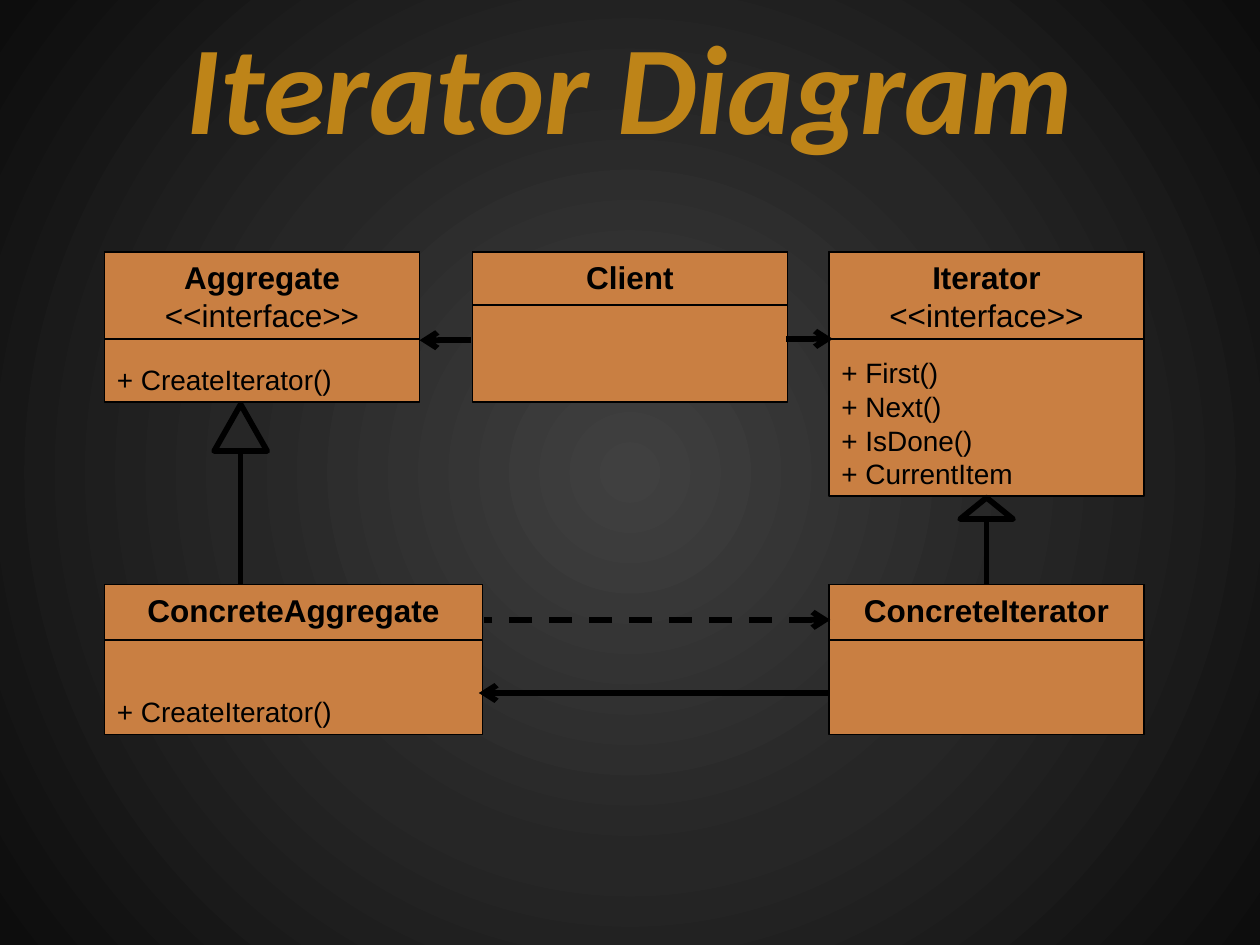
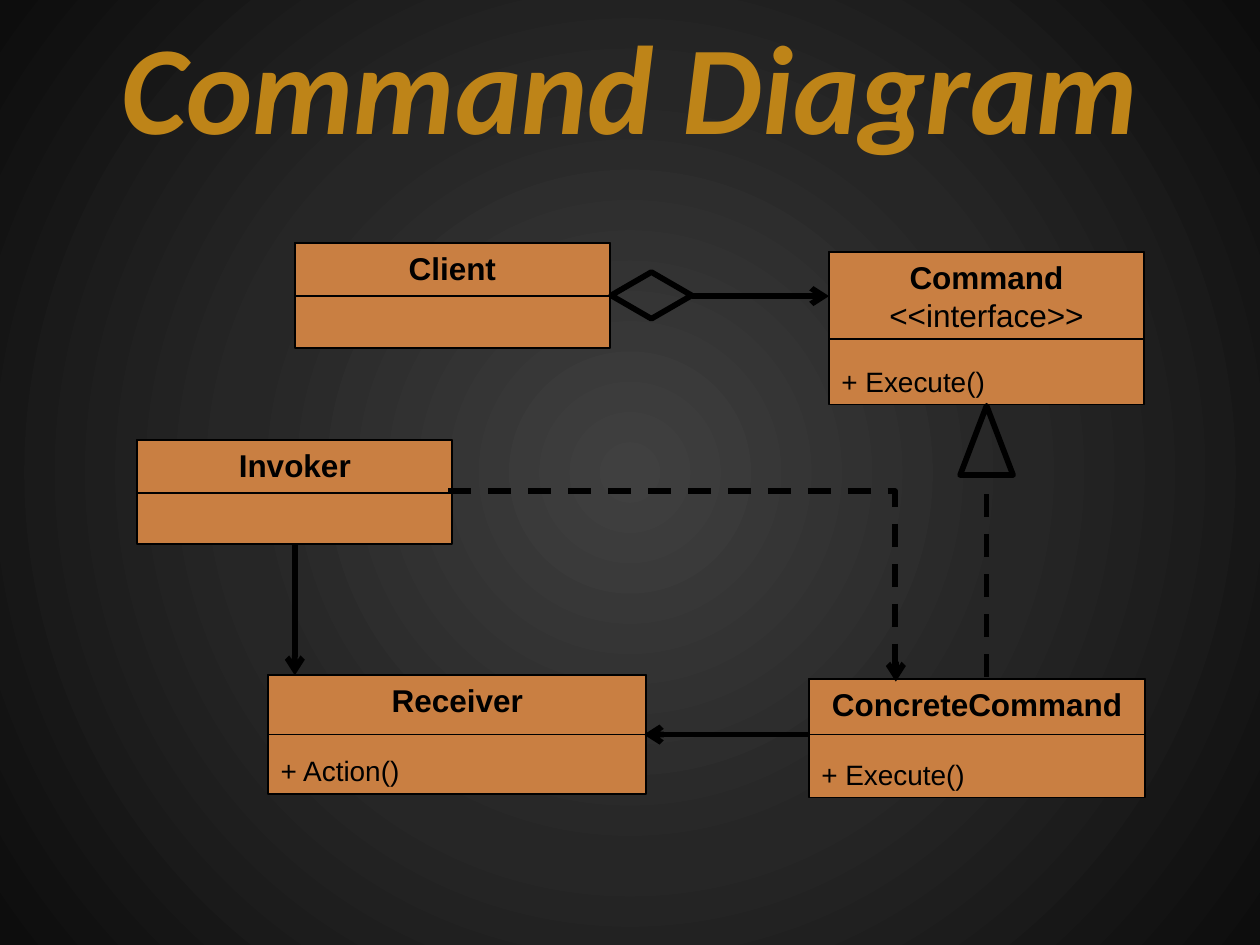
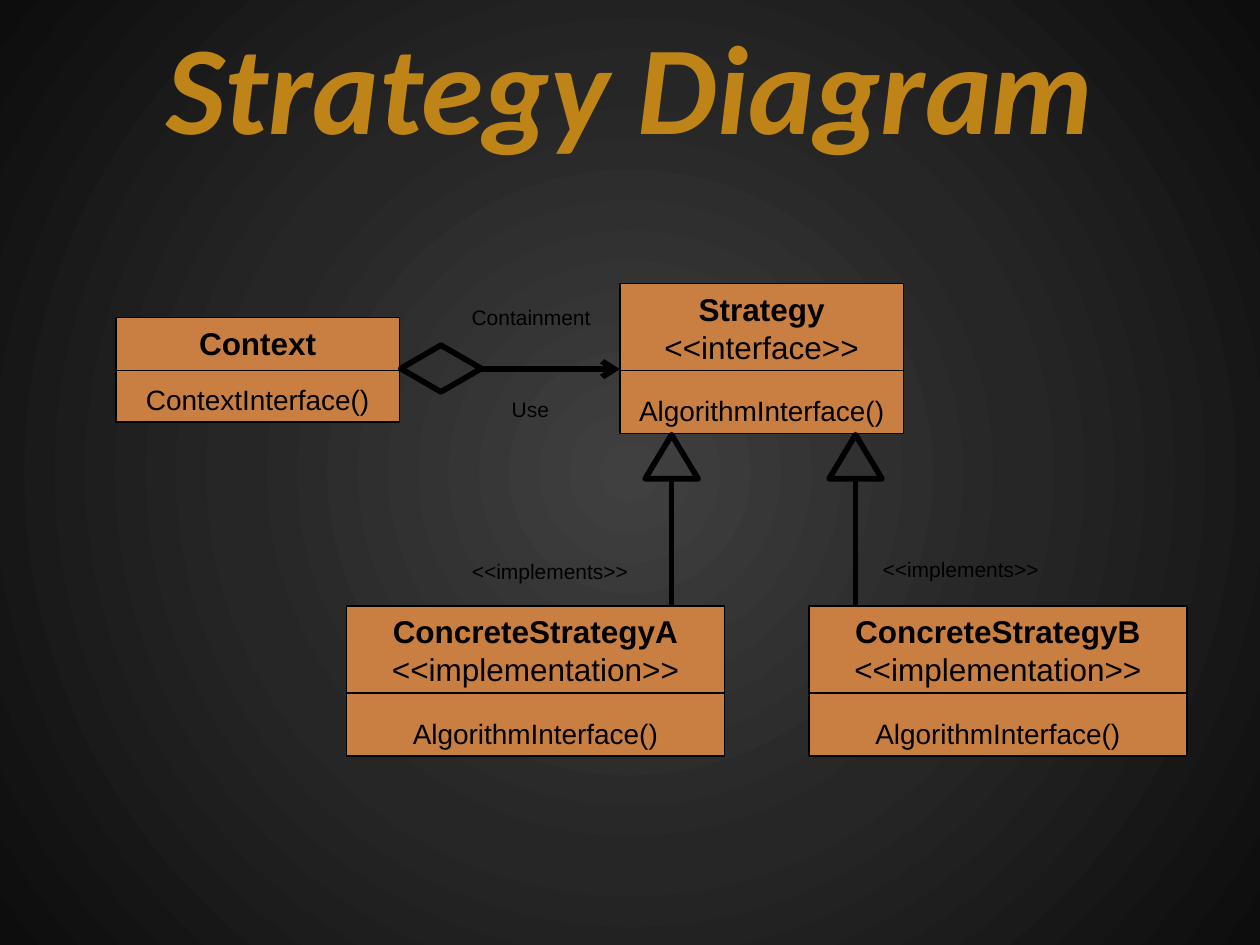
from lxml import etree
from pptx import Presentation
from pptx.dml.color import RGBColor
from pptx.enum.dml import MSO_LINE
from pptx.enum.shapes import MSO_CONNECTOR, MSO_SHAPE
from pptx.enum.text import MSO_ANCHOR, PP_ALIGN
from pptx.oxml.ns import qn
from pptx.util import Inches, Pt

INK, CARD, GOLD = "000000", "C97F42", "BE8418"
BACKDROP = [(0, "404040"), (50, "262626"), (100, "0D0D0D")]
STROKE = 3.25
TRIANGLE_WIDTH = 0.42
DIAMOND_WIDTH, DIAMOND_HEIGHT = 0.64, 0.37
LABEL_HEIGHT = 0.3

# classes: left, top, width, height, header height, name, stereotype, methods
# inherits: centre x, apex y, base y, tail y, dashed
# contains: left, top of the diamond
# arrows: tip, tail, dashed
# labels: left, top, width, text
DIAGRAMS = [
    {
        "title": "Iterator Diagram",
        "method_align": PP_ALIGN.LEFT,
        "classes": [
            (0.83, 2, 2.5, 1.19, 0.69, "Aggregate", "<<interface>>", ["+ CreateIterator()"]),
            (6.58, 2, 2.5, 1.94, 0.69, "Iterator", "<<interface>>",
             ["+ First()", "+ Next()", "+ IsDone()", "+ CurrentItem"]),
            (0.83, 4.64, 3, 1.19, 0.44, "ConcreteAggregate", "", ["+ CreateIterator()"]),
            (6.58, 4.64, 2.5, 1.19, 0.44, "ConcreteIterator", "", []),
            (3.75, 2, 2.5, 1.19, 0.42, "Client", "", []),
        ],
        "inherits": [(1.91, 3.21, 3.58, 4.64, False), (7.83, 3.95, 4.12, 4.64, False)],
        "arrows": [
            ((6.61, 2.69), (6.24, 2.69), False),
            ((3.33, 2.7), (3.74, 2.7), False),
            ((3.8, 5.5), (6.58, 5.5), False),
            ((6.59, 4.92), (3.84, 4.92), True),
        ],
    },
    {
        "title": "Command Diagram",
        "method_align": PP_ALIGN.LEFT,
        "classes": [
            (2.34, 1.93, 2.5, 0.83, 0.42, "Client", "", []),
            (6.58, 2, 2.5, 1.21, 0.69, "Command", "<<interface>>", ["+ Execute()"]),
            (2.13, 5.36, 3, 0.94, 0.47, "Receiver", "", ["+ Action()"]),
            (6.42, 5.39, 2.67, 0.94, 0.44, "ConcreteCommand", "", ["+ Execute()"]),
            (1.09, 3.49, 2.5, 0.83, 0.42, "Invoker", "", []),
        ],
        "inherits": [(7.83, 3.22, 3.77, 5.37, True)],
        "contains": [(4.85, 2.16)],
        "elbows": [((3.56, 3.9), (7.12, 5.36), 0.996)],
        "arrows": [
            ((5.11, 5.83), (6.42, 5.83), False),
            ((6.58, 2.35), (5.49, 2.35), False),
            ((2.34, 5.36), (2.34, 4.32), False),
            ((7.11, 5.41), (7.11, 5.34), False),
        ],
    },
    {
        "title": "Strategy Diagram",
        "method_align": PP_ALIGN.CENTER,
        "classes": [
            (0.92, 2.52, 2.25, 0.83, 0.42, "Context", "", ["ContextInterface()"]),
            (4.92, 2.25, 2.25, 1.19, 0.69, "Strategy", "<<interface>>",
             ["AlgorithmInterface()"]),
            (6.42, 4.81, 3, 1.19, 0.69, "ConcreteStrategyB", "<<implementation>>",
             ["AlgorithmInterface()"]),
            (2.75, 4.81, 3, 1.19, 0.69, "ConcreteStrategyA", "<<implementation>>",
             ["AlgorithmInterface()"]),
        ],
        "inherits": [(5.33, 3.45, 3.8, 4.81, False), (6.79, 3.45, 3.8, 4.81, False)],
        "contains": [(3.18, 2.74)],
        "arrows": [((4.92, 2.93), (3.82, 2.93), False)],
        "labels": [
            (3.64, 4.38, 1.45, "<<implements>>"),
            (6.9, 4.37, 1.45, "<<implements>>"),
            (3.64, 2.37, 1.15, "Containment"),
            (3.96, 3.1, 0.5, "Use"),
        ],
    },
]


def rgb(value):
    return RGBColor.from_string(value)


def paint_backdrop(master):
    master.background.fill.gradient()
    gradient = master.element.find(".//" + qn("p:bg")).find(".//" + qn("a:gradFill"))
    for child in list(gradient):
        gradient.remove(child)
    stops = etree.SubElement(gradient, qn("a:gsLst"))
    for position, color in BACKDROP:
        stop = etree.SubElement(stops, qn("a:gs"), pos=str(position * 1000))
        etree.SubElement(stop, qn("a:srgbClr"), val=color)
    circle = etree.SubElement(gradient, qn("a:path"), path="circle")
    etree.SubElement(circle, qn("a:fillToRect"), l="50000", t="50000", r="50000", b="50000")


def add_run(paragraph, text, size, color=INK, font="Arial", bold=False, italic=False):
    run = paragraph.add_run()
    run.text = text
    run.font.size, run.font.name = Pt(size), font
    run.font.bold, run.font.italic = bold, italic
    run.font.color.rgb = rgb(color)


def add_outline(slide, kind, place, width, fill=None):
    shape = slide.shapes.add_shape(kind, *map(Inches, place))
    shape.shadow.inherit = False
    if fill:
        shape.fill.solid()
        shape.fill.fore_color.rgb = rgb(fill)
    else:
        shape.fill.background()
    shape.line.color.rgb = rgb(INK)
    shape.line.width = Pt(width)
    return shape


def add_line(slide, start, end, dashed=False, arrow=False, kind=MSO_CONNECTOR.STRAIGHT):
    line = slide.shapes.add_connector(kind, *map(Inches, (*start, *end)))
    line.line.color.rgb = rgb(INK)
    line.line.width = Pt(STROKE)
    if dashed:
        line.line.dash_style = MSO_LINE.DASH
    if arrow:
        etree.SubElement(line.line._get_or_add_ln(), qn("a:headEnd"), type="arrow")
    etree.SubElement(line._element.spPr, qn("a:effectLst"))
    return line


def add_title(slide, title):
    frame = slide.shapes.add_textbox(0, Inches(0.25), Inches(10), Inches(0.83)).text_frame
    frame.word_wrap = True
    frame.vertical_anchor = MSO_ANCHOR.MIDDLE
    frame.paragraphs[0].alignment = PP_ALIGN.CENTER
    add_run(frame.paragraphs[0], title, 72, GOLD, "Calibri", bold=True, italic=True)


def add_class(slide, align, left, top, width, height, header_height, name, stereotype, methods):
    body = add_outline(slide, MSO_SHAPE.RECTANGLE, (left, top, width, height), 1, CARD).text_frame
    body.vertical_anchor = MSO_ANCHOR.BOTTOM
    for index, method in enumerate(methods):
        paragraph = body.add_paragraph() if index else body.paragraphs[0]
        paragraph.alignment = align
        add_run(paragraph, method, 16)
    header = add_outline(slide, MSO_SHAPE.RECTANGLE, (left, top, width, header_height), 1, CARD)
    header.text_frame.vertical_anchor = MSO_ANCHOR.TOP
    heading = header.text_frame.paragraphs[0]
    heading.alignment = PP_ALIGN.CENTER
    add_run(heading, name, 18, bold=True)
    if stereotype:
        heading.add_line_break()
        add_run(heading, stereotype, 18)


def add_inheritance(slide, center, apex, base, tail, dashed):
    add_line(slide, (center, tail), (center, base), dashed)
    place = (center - TRIANGLE_WIDTH / 2, apex, TRIANGLE_WIDTH, base - apex)
    add_outline(slide, MSO_SHAPE.ISOSCELES_TRIANGLE, place, STROKE)


def add_elbow(slide, start, end, bend):
    elbow = add_line(slide, start, end, dashed=True, kind=MSO_CONNECTOR.ELBOW)
    guides = elbow._element.spPr.find(qn("a:prstGeom")).find(qn("a:avLst"))
    etree.SubElement(guides, qn("a:gd"), name="adj1", fmla=f"val {round(bend * 100000)}")


def add_label(slide, left, top, width, text):
    place = map(Inches, (left, top, width, LABEL_HEIGHT))
    frame = slide.shapes.add_textbox(*place).text_frame
    frame.word_wrap = False
    frame.paragraphs[0].alignment = PP_ALIGN.CENTER
    add_run(frame.paragraphs[0], text, 12)


def add_diagram(slide, diagram):
    add_title(slide, diagram["title"])
    for entry in diagram["classes"]:
        add_class(slide, diagram["method_align"], *entry)
    for inheritance in diagram["inherits"]:
        add_inheritance(slide, *inheritance)
    for left, top in diagram.get("contains", []):
        place = (left, top, DIAMOND_WIDTH, DIAMOND_HEIGHT)
        add_outline(slide, MSO_SHAPE.FLOWCHART_DECISION, place, STROKE)
    for elbow in diagram.get("elbows", []):
        add_elbow(slide, *elbow)
    for tip, tail, dashed in diagram["arrows"]:
        add_line(slide, tip, tail, dashed, arrow=True)
    for label in diagram.get("labels", []):
        add_label(slide, *label)


def main():
    deck = Presentation()
    deck.slide_width, deck.slide_height = Inches(10), Inches(7.5)
    paint_backdrop(deck.slide_master)
    for diagram in DIAGRAMS:
        add_diagram(deck.slides.add_slide(deck.slide_layouts[6]), diagram)
    deck.save("out.pptx")


if __name__ == "__main__":
    main()
